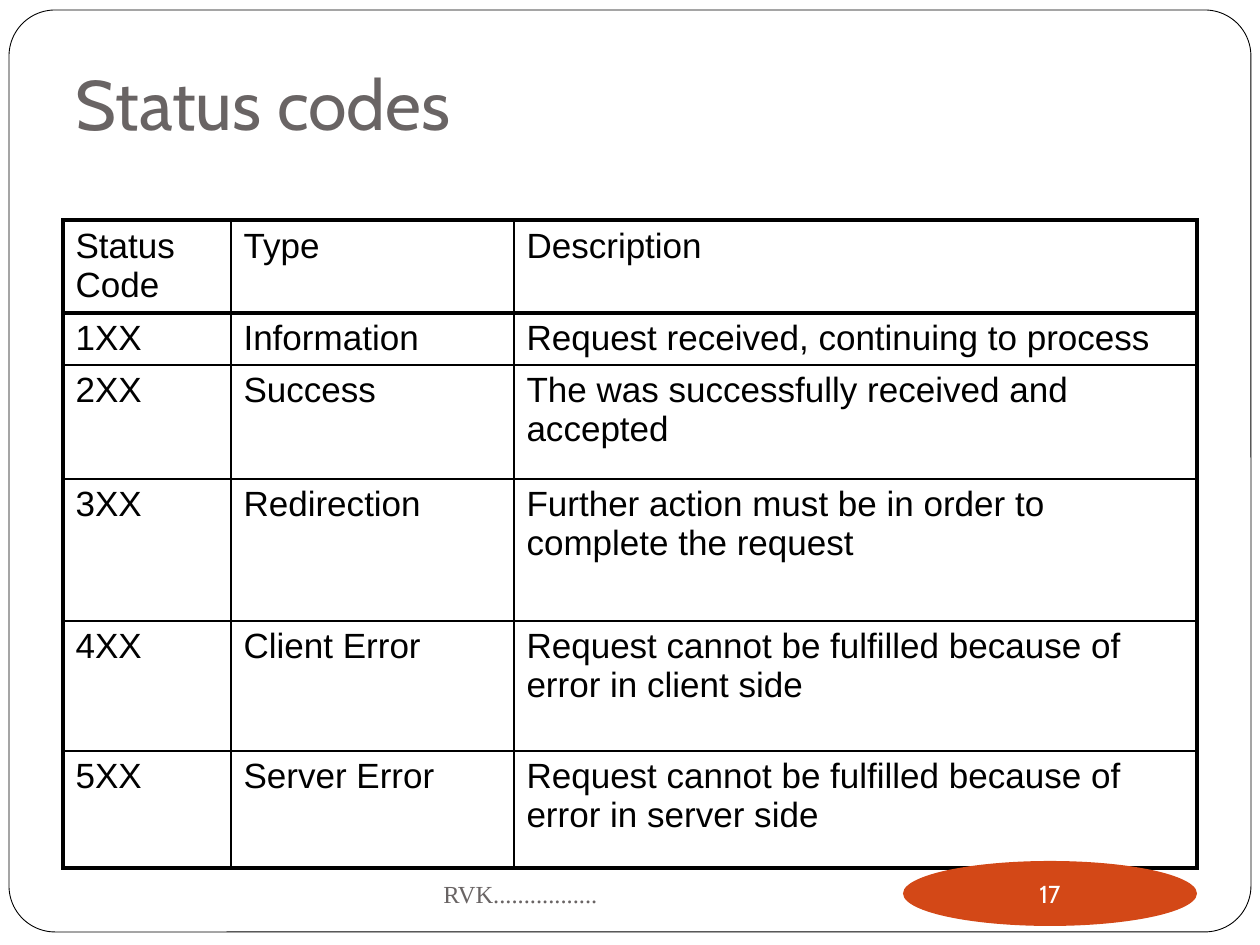
import pptx
import pptx.util
import pptx.dml.color
import pptx.enum.shapes
import pptx.enum.text
import pptx.oxml.ns
from lxml import etree

PX_PER_INCH = 126
COLORS = {"paper": "FFFFFF", "ink": "000000", "muted": "696464", "accent": "D34817"}
COLUMNS = [168, 283, 683]
ROWS = [93, 52, 114, 142, 130, 117]
STATUS_CODES = [
    ("Status Code", "Type", "Description"),
    ("1XX", "Information", "Request received, continuing to process"),
    ("2XX", "Success", "The was successfully received and accepted"),
    ("3XX", "Redirection", "Further action must be in order to complete the request"),
    ("4XX", "Client Error", "Request cannot be fulfilled because of error in client side"),
    ("5XX", "Server Error", "Request cannot be fulfilled because of error in server side"),
]
ALIGN = pptx.enum.text.PP_ALIGN
ANCHOR = pptx.enum.text.MSO_ANCHOR
SHAPE = pptx.enum.shapes.MSO_SHAPE


def px(n):
    return pptx.util.Emu(round(n * 914400 / PX_PER_INCH))


def box(*lengths):
    return [px(n) for n in lengths]


def rgb(name):
    return pptx.dml.color.RGBColor.from_string(COLORS[name])


def write(tf, text, size=20, font="Arial", color="ink", align=ALIGN.LEFT, anchor=ANCHOR.TOP):
    tf.vertical_anchor = anchor
    p = tf.paragraphs[0]
    p.alignment = align
    r = p.add_run()
    r.text = text
    r.font.size = pptx.util.Pt(size)
    r.font.name = font
    r.font.color.rgb = rgb(color)
    return p


def set_margins(tf, left, top, right, bottom):
    tf.margin_left, tf.margin_top, tf.margin_right, tf.margin_bottom = box(left, top, right, bottom)


def add_frame(s):
    sp = s.shapes.add_shape(SHAPE.ROUNDED_RECTANGLE, *box(9, 10, 1242, 922))
    sp.adjustments[0] = 0.05
    sp.shadow.inherit = False
    sp.fill.solid()
    sp.fill.fore_color.rgb = rgb("paper")
    sp.line.color.rgb = rgb("ink")
    sp.line.width = pptx.util.Pt(0.5)
    s.shapes._spTree.insert(2, sp._element)


def format_title(s, text):
    sp = s.shapes.title
    sp.left, sp.top, sp.width, sp.height = box(63, 0, 1134, 158)
    set_margins(sp.text_frame, 13, 6, 13, 13)
    write(sp.text_frame, text, size=40, font="Cabin", color="muted", anchor=ANCHOR.BOTTOM)


def set_border(cell, side, width):
    tc_pr = cell._tc.get_or_add_tcPr()
    qn = pptx.oxml.ns.qn
    ln = etree.SubElement(tc_pr, qn(f"a:ln{side}"), w=str(pptx.util.Pt(width)))
    fill = etree.SubElement(ln, qn("a:solidFill"))
    etree.SubElement(fill, qn("a:srgbClr"), val=COLORS["ink"])


def set_space_before(p, percent):
    qn = pptx.oxml.ns.qn
    space = etree.SubElement(p._p.get_or_add_pPr(), qn("a:spcBef"))
    etree.SubElement(space, qn("a:spcPct"), val=str(percent * 1000))


def add_status_table(s):
    frame = s.shapes.add_table(len(ROWS), len(COLUMNS), *box(63, 220, sum(COLUMNS), sum(ROWS)))
    table = frame.table
    table.first_row = table.horz_banding = False
    for column, width in zip(table.columns, COLUMNS):
        column.width = px(width)
    for row, height in zip(table.rows, ROWS):
        row.height = px(height)
    last_row, last_col = len(ROWS) - 1, len(COLUMNS) - 1
    for i, texts in enumerate(STATUS_CODES):
        for j, text in enumerate(texts):
            cell = table.cell(i, j)
            heavy = {"L": j == 0, "R": j == last_col, "T": i <= 1, "B": i in (0, last_row)}
            for side, is_heavy in heavy.items():
                set_border(cell, side, 2.25 if is_heavy else 1)
            cell.fill.background()
            set_space_before(write(cell.text_frame, text), 20)


def add_page_number(s, text):
    sp = s.shapes.add_shape(SHAPE.OVAL, *box(903, 861, 294, 65))
    sp.shadow.inherit = False
    sp.fill.solid()
    sp.fill.fore_color.rgb = rgb("accent")
    sp.line.fill.background()
    tf = sp.text_frame
    tf.word_wrap = False
    set_margins(tf, 0, 0, 0, 0)
    write(tf, text, size=14, font="Cabin", color="paper", align=ALIGN.CENTER, anchor=ANCHOR.MIDDLE)


def add_footer(s, text):
    tf = s.shapes.add_textbox(*box(431, 861, 399, 65)).text_frame
    tf.word_wrap = True
    write(tf, text, size=14, font="Times New Roman", color="muted", anchor=ANCHOR.MIDDLE)


def main():
    prs = pptx.Presentation()
    prs.slide_width, prs.slide_height = box(1260, 945)
    s = prs.slides.add_slide(prs.slide_layouts[5])
    add_frame(s)
    format_title(s, "Status codes")
    add_status_table(s)
    add_page_number(s, "17")
    add_footer(s, "RVK.................")
    prs.save("out.pptx")


if __name__ == "__main__":
    main()
